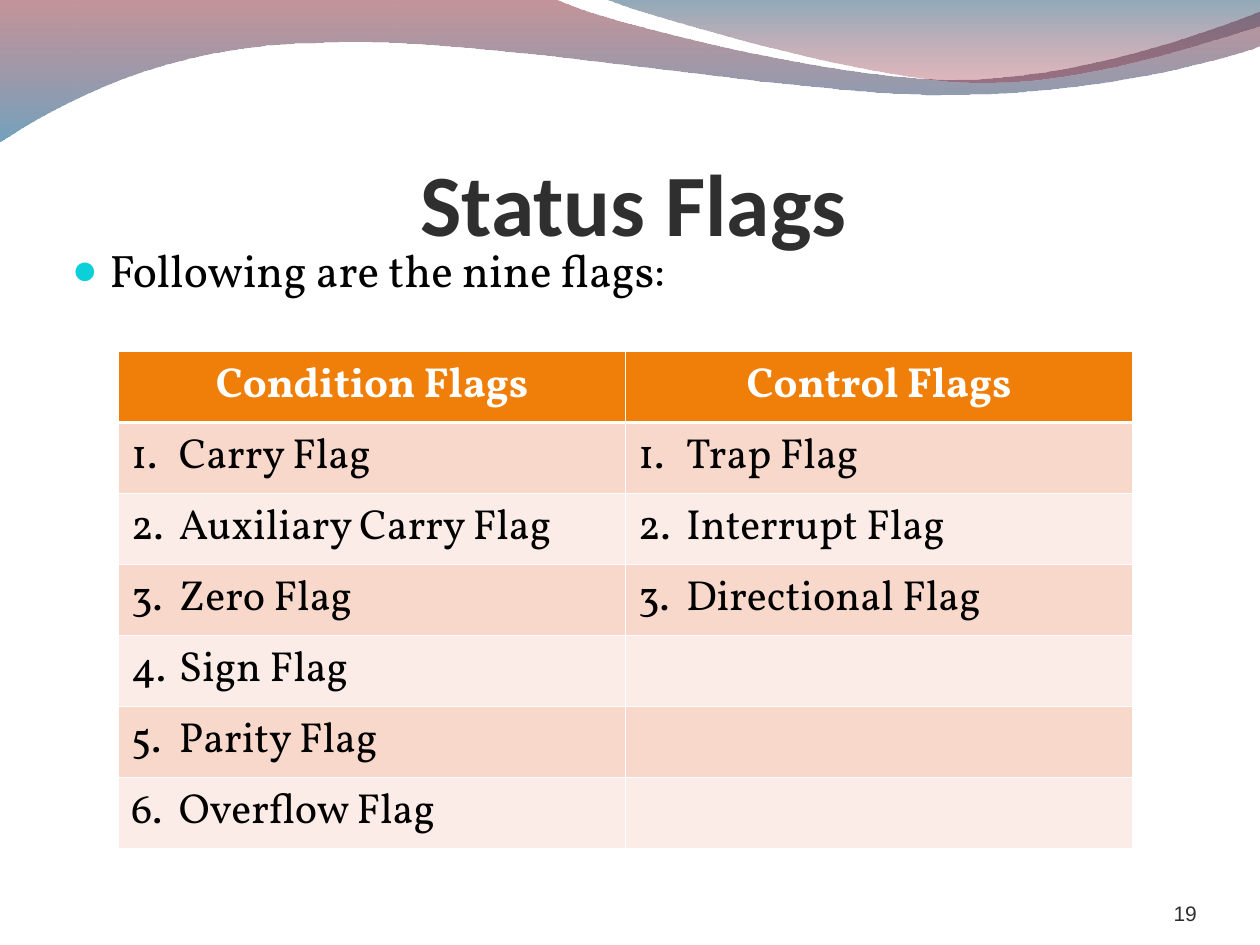
from dataclasses import dataclass
from itertools import chain, zip_longest

from lxml import etree
from pptx import Presentation
from pptx.dml.color import RGBColor
from pptx.enum.text import MSO_ANCHOR, MSO_AUTO_SIZE, PP_ALIGN
from pptx.oxml.ns import qn
from pptx.util import Inches, Pt

LEFT, CENTER, RIGHT = PP_ALIGN.LEFT, PP_ALIGN.CENTER, PP_ALIGN.RIGHT
TOP, BOTTOM = MSO_ANCHOR.TOP, MSO_ANCHOR.BOTTOM
NO_AUTOFIT = MSO_AUTO_SIZE.NONE


@dataclass(frozen=True)
class Theme:
    heading_font: str = "Calibri"
    body_font: str = "Vollkorn"
    number_font: str = "Arial"
    title_size: int = 50
    body_size: int = 26
    table_size: int = 24
    number_size: int = 12
    dark: str = "2F2F2F"
    black: str = "000000"
    white: str = "FFFFFF"
    bullet: str = "0BD0D9"
    header: str = "F07F09"
    bands: tuple = ("F9D8CC", "FCECE7")
    # (colour, opacity in percent) from top to bottom
    large_wave: tuple = (("7C121E", 45), ("005588", 55))
    small_wave: tuple = (("064164", 45), ("A00E1E", 30))


THEME = Theme()


def write_text(frame, text, *, size, font, color, bold=False, align=LEFT, indent=0,
               hanging=0, before=0, after=0, bullet=None, number=None, bullet_color=None):
    paragraph = frame.paragraphs[0]
    paragraph.alignment = align
    paragraph.space_before, paragraph.space_after = Pt(before), Pt(after)
    properties = paragraph._p.get_or_add_pPr()
    properties.set("marL", str(Inches(indent)))
    properties.set("indent", str(Inches(-hanging)))
    if bullet_color:
        holder = etree.SubElement(properties, qn("a:buClr"))
        etree.SubElement(holder, qn("a:srgbClr"), val=bullet_color)
    if bullet:
        etree.SubElement(properties, qn("a:buSzPct"), val="95000")
        etree.SubElement(properties, qn("a:buChar"), char=bullet)
    elif number:
        etree.SubElement(properties, qn("a:buFont"), typeface=font)
        etree.SubElement(properties, qn("a:buAutoNum"), type="arabicPeriod", startAt=str(number))
    run = paragraph.add_run()
    run.text = text
    run.font.size, run.font.name, run.font.bold = Pt(size), font, bold
    run.font.color.rgb = RGBColor.from_string(color)


def bend_lines(freeform, segments):
    """Turn the lines of each three-point segment into one Bezier curve."""
    lines = iter(freeform._element.findall(".//" + qn("a:lnTo")))
    for segment in segments:
        segment_lines = [next(lines) for _ in segment]
        if len(segment) == 3:
            curve = etree.Element(qn("a:cubicBezTo"))
            segment_lines[0].addprevious(curve)
            for line in segment_lines:
                curve.append(line[0])
                line.getparent().remove(line)


prs = Presentation()
prs.slide_width, prs.slide_height = Inches(10), Inches(7.5)
slide = prs.slides.add_slide(prs.slide_layouts[1])
shapes = slide.shapes

# Header waves: each segment is one point (line) or three points (curve)
large_wave = [
    [(0, -0.01)],
    [(4.4, -0.01)],
    [(4.76, 0.17), (6.64, 0.63), (7.58, 0.63)],
    [(8.53, 0.63), (9.58, 0.26), (10, 0.09)],
    [(10.01, 0.36)],
    [(9.83, 0.44), (8.7, 0.76), (7.46, 0.75)],
    [(6.22, 0.75), (3.82, 0.28), (2.57, 0.34)],
    [(1.29, 0.35), (0.46, 0.83), (-0.01, 1.13)],
]
small_wave = [
    [(4.79, -0.01)],
    [(5.09, 0.11), (6.82, 0.62), (7.69, 0.65)],
    [(8.56, 0.69), (9.61, 0.32), (10, 0.21)],
    [(10, 0)],
]
waves = ((large_wave, THEME.large_wave), (small_wave, THEME.small_wave))
for depth, (segments, gradient) in enumerate(waves):
    start, *nodes = [(Inches(x), Inches(y)) for x, y in chain(*segments)]
    builder = shapes.build_freeform(*start)
    builder.add_line_segments(nodes, close=True)
    wave = builder.convert_to_shape()
    bend_lines(wave, segments[1:])
    wave.shadow.inherit = False
    wave.line.fill.background()
    wave.fill.gradient()
    wave.fill.gradient_angle = 270
    for stop, (color, _) in zip(wave.fill.gradient_stops, gradient):
        stop.color.rgb = RGBColor.from_string(color)
    stop_colors = wave._element.spPr.findall(".//" + qn("a:srgbClr"))
    for stop_color, (_, opacity) in zip(stop_colors, gradient):
        etree.SubElement(stop_color, qn("a:alpha"), val=str(opacity * 1000))
    shapes._spTree.insert(2 + depth, wave._element)  # behind the text

# Title, lead-in and slide number
title = shapes.title
lead_in = slide.placeholders[1]
page_number = shapes.add_textbox(0, 0, 0, 0)
frames = (
    (title, (0.5, 0.77, 9, 1.25), (0, 0.05, 0, 0), BOTTOM),
    (lead_in, (0.47, 1.87, 9.03, 0.83), (0.1, 0.05, 0.1, 0.05), TOP),
    (page_number, (8.67, 6.95, 0.83, 0.4), (0, 0, 0, 0), BOTTOM),
)
for box, place, insets, anchor in frames:
    box.left, box.top, box.width, box.height = map(Inches, place)
    frame = box.text_frame
    frame.margin_left, frame.margin_top, frame.margin_right, frame.margin_bottom = map(Inches, insets)
    frame.vertical_anchor, frame.auto_size, frame.word_wrap = anchor, NO_AUTOFIT, True

write_text(title.text_frame, "Status Flags", size=THEME.title_size, font=THEME.heading_font,
           color=THEME.dark, bold=True, align=CENTER, indent=0.06)
write_text(lead_in.text_frame, "Following are the nine flags:", size=THEME.body_size,
           font=THEME.body_font, color=THEME.black, indent=0.3, hanging=0.3, before=6.5,
           after=18, bullet="●", bullet_color=THEME.bullet)
write_text(page_number.text_frame, "19", size=THEME.number_size, font=THEME.number_font,
           color=THEME.dark, align=RIGHT)

# Table of flags
flags = {
    "Condition Flags": ["Carry Flag", "Auxiliary Carry Flag", "Zero Flag", "Sign Flag",
                        "Parity Flag", "Overflow Flag"],
    "Control Flags": ["Trap Flag", "Interrupt Flag", "Directional Flag"],
}
rows = [tuple(flags), *zip_longest(*flags.values())]
table = shapes.add_table(len(rows), len(flags), Inches(0.94), Inches(2.79),
                         Inches(8.05), Inches(3.5)).table
for row_index, row in enumerate(rows):
    is_header = row_index == 0
    for column_index, flag in enumerate(row):
        cell = table.cell(row_index, column_index)
        cell_properties = cell._tc.get_or_add_tcPr()
        for side in "LRTB":
            under_header = (row_index, side) in ((0, "B"), (1, "T"))
            border = etree.SubElement(cell_properties, qn(f"a:ln{side}"),
                                      w=str(Pt(1.47 if under_header else 0.45)))
            border_fill = etree.SubElement(border, qn("a:solidFill"))
            etree.SubElement(border_fill, qn("a:srgbClr"), val=THEME.white)
        cell.fill.solid()
        cell.fill.fore_color.rgb = RGBColor.from_string(
            THEME.header if is_header else THEME.bands[(row_index - 1) % 2])
        if not flag:
            continue
        if is_header:
            style = dict(color=THEME.white, bold=True, align=CENTER)
        else:
            style = dict(color=THEME.black, indent=0.38, hanging=0.38, number=row_index,
                         bullet_color=THEME.black)
        write_text(cell.text_frame, flag, size=THEME.table_size, font=THEME.body_font, **style)

prs.save("out.pptx")
